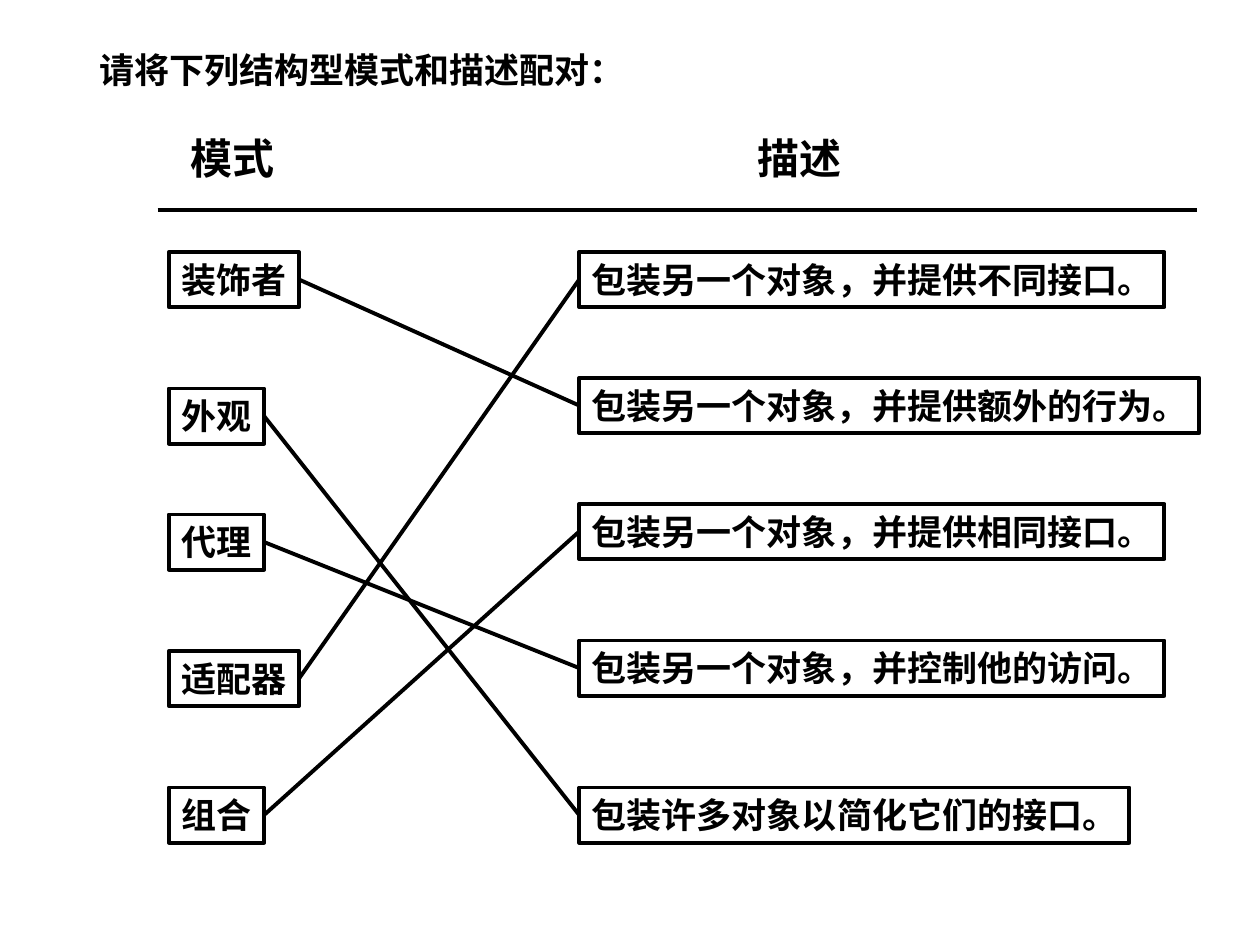
from dataclasses import dataclass

from lxml.etree import SubElement
from pptx import Presentation
from pptx.dml.color import RGBColor
from pptx.enum.shapes import MSO_CONNECTOR, MSO_SHAPE
from pptx.enum.text import MSO_ANCHOR, MSO_AUTO_SIZE, PP_ALIGN
from pptx.oxml.ns import qn
from pptx.shapes.autoshape import Shape
from pptx.shapes.connector import Connector
from pptx.slide import Slide
from pptx.util import Pt


@dataclass(frozen=True)
class Theme:
    font: str = "Arial"
    ink: RGBColor = RGBColor(0, 0, 0)
    text_size: float = 20
    heading_size: float = 24
    line_width: float = 2.25
    inset_x: float = 7.2
    inset_y: float = 3.6
    box_height: float = 31.5
    heading_height: float = 36


@dataclass(frozen=True)
class Entry:
    text: str
    top: float


@dataclass(frozen=True)
class Heading:
    text: str
    left: float


THEME = Theme()
RIGHT_SITE, LEFT_SITE = 3, 1  # connection sites of a rectangle
PATTERN_LEFT, DESCRIPTION_LEFT = 96.5, 331
HEADING_TOP = 72

QUESTION = "请将下列结构型模式和描述配对："
HEADINGS = [Heading("模式", 102), Heading("描述", 426)]
PATTERNS = [
    Entry("装饰者", 144),
    Entry("外观", 222),
    Entry("代理", 294),
    Entry("适配器", 372),
    Entry("组合", 450),
]
DESCRIPTIONS = [
    Entry("包装另一个对象，并提供不同接口。", 144),
    Entry("包装另一个对象，并提供额外的行为。", 216),
    Entry("包装另一个对象，并提供相同接口。", 288),
    Entry("包装另一个对象，并控制他的访问。", 366),
    Entry("包装许多对象以简化它们的接口。", 450),
]
# Description index that each pattern is matched with, in pattern order
MATCHES = [1, 4, 3, 0, 2]


def fitted_width(text: str, size: float) -> float:
    """Full-width characters are one em wide."""
    return len(text) * size + 2 * THEME.inset_x


def write_text(shape: Shape, text: str, size: float) -> None:
    frame = shape.text_frame
    frame.text = text
    frame.word_wrap = False
    frame.auto_size = MSO_AUTO_SIZE.NONE
    frame.vertical_anchor = MSO_ANCHOR.TOP
    frame.margin_left = frame.margin_right = Pt(THEME.inset_x)
    frame.margin_top = frame.margin_bottom = Pt(THEME.inset_y)
    paragraph = frame.paragraphs[0]
    paragraph.alignment = PP_ALIGN.LEFT
    font = paragraph.runs[0].font
    font.name, font.size, font.bold = THEME.font, Pt(size), True
    font.color.rgb = THEME.ink


def add_question(slide: Slide) -> None:
    title = slide.shapes.title
    title.left, title.top = Pt(49.5), Pt(24)
    title.width = Pt(fitted_width(QUESTION, THEME.text_size))
    title.height = Pt(THEME.box_height)
    write_text(title, QUESTION, THEME.text_size)


def add_heading(slide: Slide, heading: Heading) -> None:
    width = fitted_width(heading.text, THEME.heading_size)
    label = slide.shapes.add_textbox(
        Pt(heading.left), Pt(HEADING_TOP), Pt(width), Pt(THEME.heading_height))
    write_text(label, heading.text, THEME.heading_size)


def add_box(slide: Slide, entry: Entry, left: float) -> Shape:
    width = fitted_width(entry.text, THEME.text_size)
    box = slide.shapes.add_shape(
        MSO_SHAPE.RECTANGLE, Pt(left), Pt(entry.top), Pt(width), Pt(THEME.box_height))
    box.shadow.inherit = False
    box.fill.background()
    box.line.color.rgb = THEME.ink
    box.line.width = Pt(THEME.line_width)
    write_text(box, entry.text, THEME.text_size)
    return box


def add_line(slide: Slide, x1: float = 0, y1: float = 0,
             x2: float = 0, y2: float = 0) -> Connector:
    line = slide.shapes.add_connector(
        MSO_CONNECTOR.STRAIGHT, Pt(x1), Pt(y1), Pt(x2), Pt(y2))
    line.line.color.rgb = THEME.ink
    line.line.width = Pt(THEME.line_width)
    SubElement(line._element.spPr, qn("a:effectLst"))
    return line


def main() -> None:
    presentation = Presentation()
    presentation.slide_width, presentation.slide_height = Pt(720), Pt(540)
    slide = presentation.slides.add_slide(presentation.slide_layouts[5])

    # Question, column headings and the rule under them
    add_question(slide)
    for heading in HEADINGS:
        add_heading(slide, heading)
    add_line(slide, 90, 120, 684, 120)

    # Two columns of boxes
    patterns = [add_box(slide, entry, PATTERN_LEFT) for entry in PATTERNS]
    descriptions = [add_box(slide, entry, DESCRIPTION_LEFT) for entry in DESCRIPTIONS]

    # Matching lines
    for pattern, match in zip(patterns, MATCHES):
        answer = add_line(slide)
        answer.begin_connect(pattern, RIGHT_SITE)
        answer.end_connect(descriptions[match], LEFT_SITE)

    presentation.save("out.pptx")


if __name__ == "__main__":
    main()
